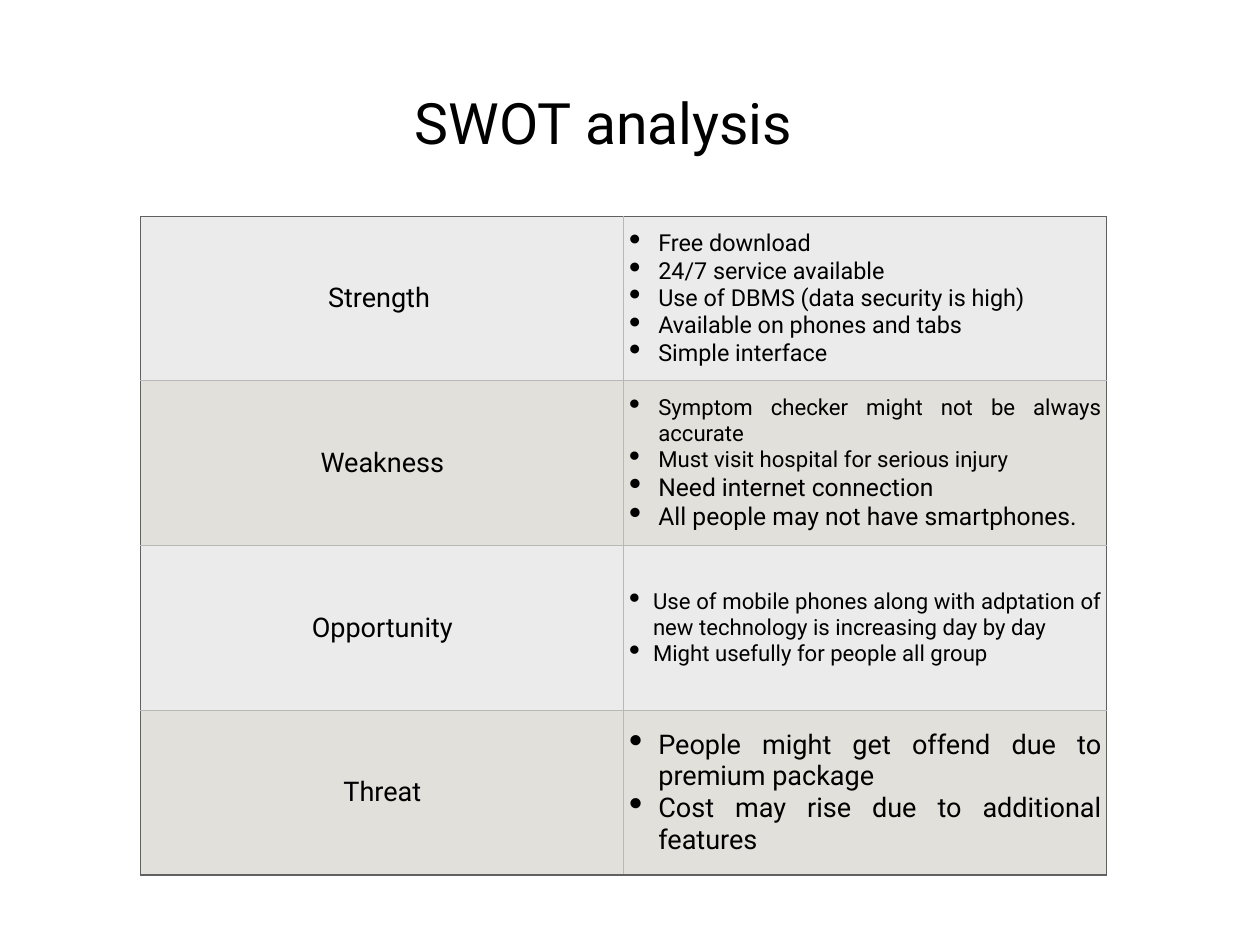
from lxml.etree import SubElement
from pptx import Presentation
from pptx.dml.color import RGBColor
from pptx.enum.text import MSO_ANCHOR, PP_ALIGN
from pptx.oxml.ns import qn
from pptx.util import Inches, Pt

PAD = Inches(0.06)
DARK, LIGHT = "606060", "B8B8B8"
FILLS = "EBEBEB", "E1E0DA"
# label, bullet indent in inches, (size, text) of each bullet
ROWS = [
    ("Strength ", 0.33, [
        (19, "Free download"),
        (19, "24/7 service available"),
        (19, "Use of DBMS (data security is high)"),
        (19, "Available on phones and tabs"),
        (19, "Simple interface")]),
    ("Weakness", 0.33, [
        (18, "Symptom checker might not be always accurate"),
        (18, "Must visit hospital for serious injury"),
        (20, "Need internet connection"),
        (20, "All people may not have smartphones.")]),
    ("Opportunity", 0.27, [
        (18, "Use of mobile phones along with adptation of "
             "new technology is increasing day by day"),
        (18, "Might usefully for people all group")]),
    ("Threat", 0.33, [
        (22, "People might get offend due to premium package"),
        (22, "Cost may rise due to additional features")]),
]


def write(para, text, size, align):
    para.text = text
    para.alignment = align
    font = para.runs[0].font
    font.name, font.size, font.bold = "Roboto", Pt(size), False
    font.color.rgb = RGBColor.from_string("000000")


def add_bullet(para, indent):
    props = para._p.get_or_add_pPr()
    props.set("marL", str(Inches(indent)))
    props.set("indent", str(-Inches(indent)))
    SubElement(props, qn("a:buSzPct"), val="145000")
    SubElement(props, qn("a:buChar"), char="•")


deck = Presentation()
deck.slide_width, deck.slide_height = Inches(14.22), Inches(10.67)
slide = deck.slides.add_slide(deck.slide_layouts[5])

title = slide.shapes.title
title.left, title.top = Inches(1.46), Inches(0.92)
title.width, title.height = Inches(10.71), Inches(0.9)
frame = title.text_frame
frame.margin_left = frame.margin_right = PAD
frame.margin_top = frame.margin_bottom = PAD
frame.vertical_anchor = MSO_ANCHOR.BOTTOM
write(frame.paragraphs[0], "SWOT analysis", 46.4, PP_ALIGN.CENTER)

count = len(ROWS)
table = slide.shapes.add_table(count, 2, Inches(1.59), Inches(2.44),
                               Inches(10.9), Inches(7.44)).table
table.first_row = table.horz_banding = False

for row, (label, indent, points) in enumerate(ROWS):
    for col in range(2):
        cell = table.cell(row, col)
        cell.margin_left = cell.margin_right = PAD
        cell.margin_top = cell.margin_bottom = PAD
        cell.vertical_anchor = MSO_ANCHOR.MIDDLE

        # The outer frame is dark, the inner grid light
        outer = {"L": col == 0, "R": col == 1,
                 "T": row == 0, "B": row == count - 1}
        for side, edge in outer.items():
            line = SubElement(cell._tc.get_or_add_tcPr(), qn("a:ln" + side),
                              w=str(Pt(1)))
            paint = SubElement(line, qn("a:solidFill"))
            SubElement(paint, qn("a:srgbClr"), val=DARK if edge else LIGHT)
        cell.fill.solid()
        cell.fill.fore_color.rgb = RGBColor.from_string(FILLS[row % 2])

        lines = points if col else [(22, label)]
        for i, (size, text) in enumerate(lines):
            frame = cell.text_frame
            para = frame.add_paragraph() if i else frame.paragraphs[0]
            para.line_spacing = 1.0
            if col:
                add_bullet(para, indent)
            write(para, text, size, PP_ALIGN.JUSTIFY if col else PP_ALIGN.CENTER)

deck.save("out.pptx")
